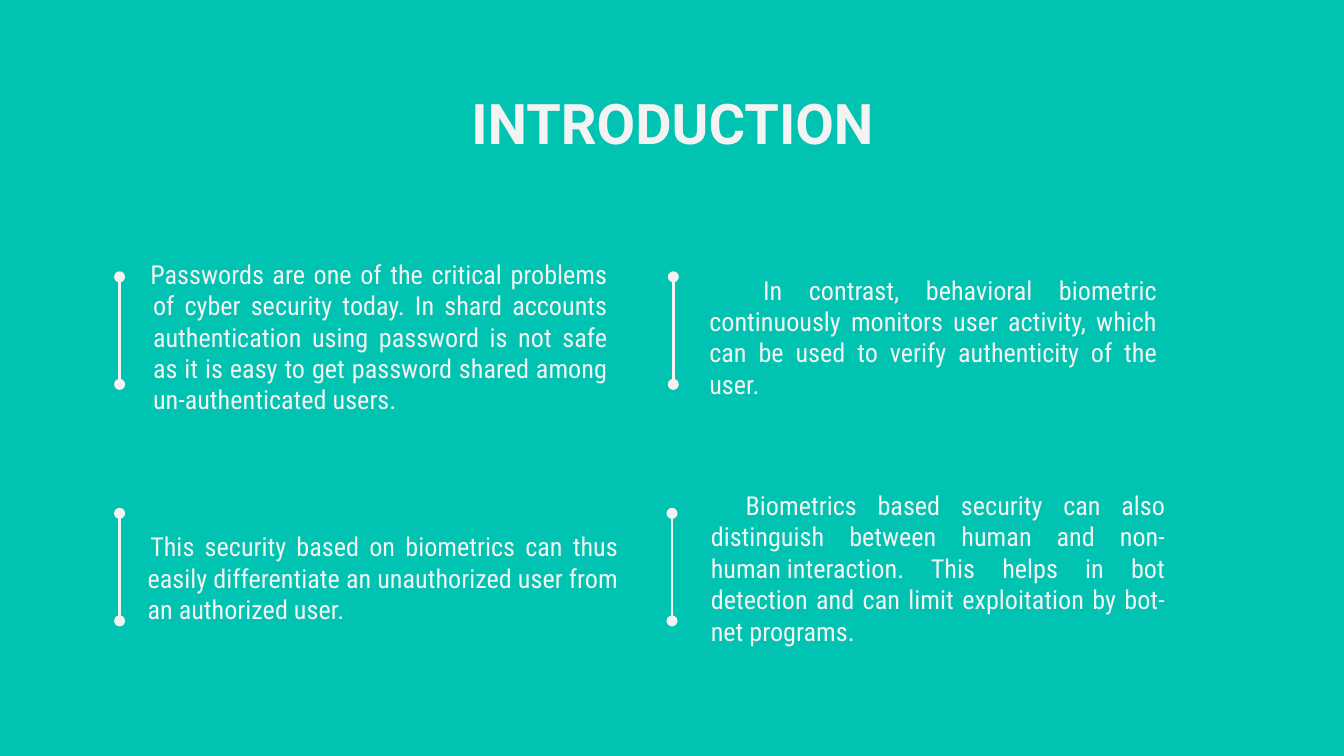
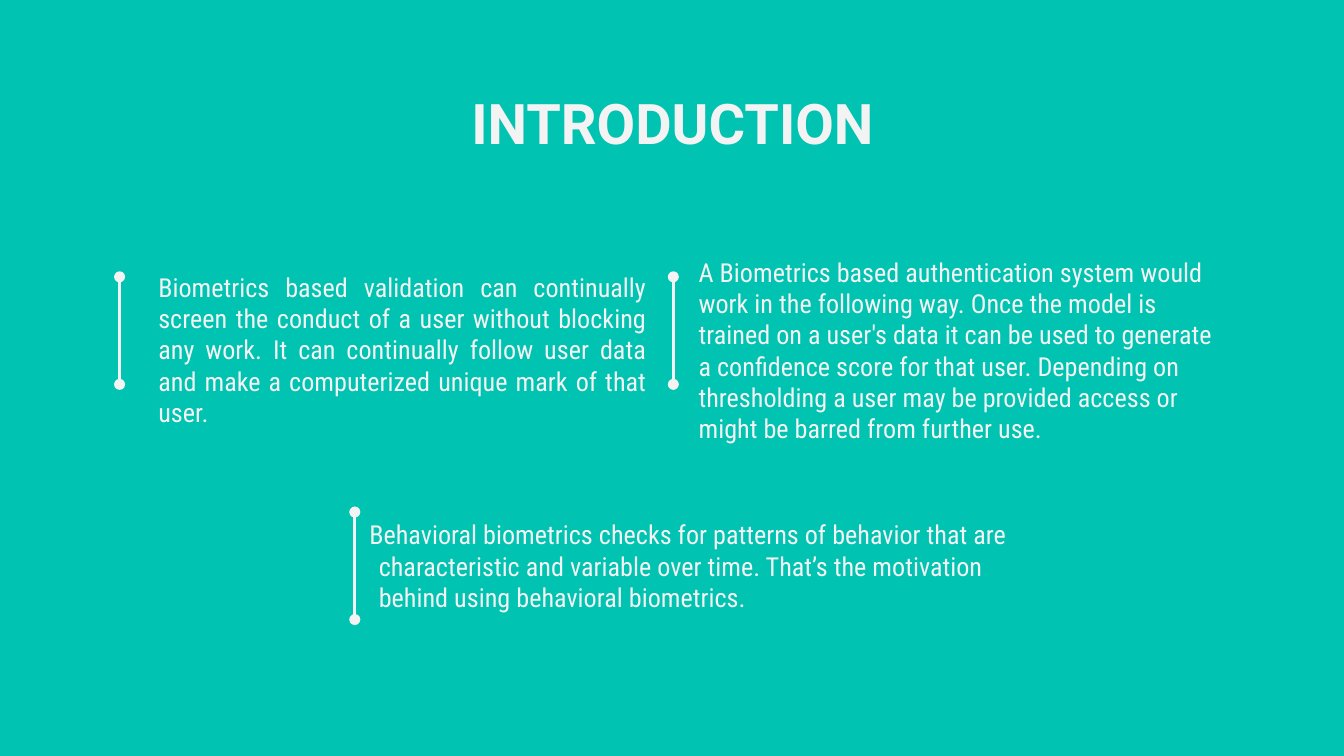
import pptx
import pptx.util
import pptx.dml.color
import pptx.enum.text
import pptx.enum.shapes
import pptx.oxml
import pptx.oxml.ns
import lxml.etree

Inches = pptx.util.Inches
ALIGN = pptx.enum.text.PP_ALIGN
ANCHOR = pptx.enum.text.MSO_ANCHOR
TEAL = pptx.dml.color.RGBColor(0x00, 0xC3, 0xB1)
PALE = pptx.dml.color.RGBColor(0xF3, 0xF3, 0xF3)
HEAD = "Roboto"
BODY = "Roboto Condensed"
PAD = 0.1
RAIL = 0.8
TOP, LOW = 2.06, 3.82
LEFT, RIGHT = 0.89, 5.01


def write(slide, box, text, font=BODY, size=14, bold=False,
          align=ALIGN.JUSTIFY, anchor=ANCHOR.MIDDLE, margin=0, first=0, foot=PAD):
    """Add a text box with one formatted paragraph."""
    frame = slide.shapes.add_textbox(*map(Inches, box)).text_frame
    frame.word_wrap = True
    frame.vertical_anchor = anchor
    frame.margin_left = frame.margin_right = frame.margin_top = Inches(PAD)
    frame.margin_bottom = Inches(foot)
    para = frame.paragraphs[0]
    para.alignment = align
    props = para._p.get_or_add_pPr()
    props.set("marL", str(Inches(margin)))
    props.set("indent", str(Inches(first)))
    run = para.add_run()
    run.text = text
    run.font.name = font
    run.font.size = pptx.util.Pt(size)
    run.font.bold = bold
    run.font.color.rgb = PALE


def rail(slide, x, y):
    """Draw an upright line with a dot at each end."""
    line = slide.shapes.add_connector(
        pptx.enum.shapes.MSO_CONNECTOR.STRAIGHT,
        Inches(x), Inches(y), Inches(x), Inches(y + RAIL))
    line.line.color.rgb = PALE
    line.line.width = pptx.util.Pt(1.5)
    stroke = line.line._get_or_add_ln()
    for end in ("a:headEnd", "a:tailEnd"):
        lxml.etree.SubElement(stroke, pptx.oxml.ns.qn(end), type="oval")
    lxml.etree.SubElement(line._element.spPr, pptx.oxml.ns.qn("a:effectLst"))


def note(slide, mark, box, text, **form):
    """Place a rail and the text box beside it."""
    rail(slide, *mark)
    write(slide, box, text, **form)


def page(deck, title, notes):
    """Build a slide with a centred title and its notes."""
    slide = deck.slides.add_slide(deck.slide_layouts[6])
    slide.background.fill.solid()
    slide.background.fill.fore_color.rgb = TEAL
    write(slide, (0.79, 0.56, 8.43, 0.63), title, font=HEAD, size=30,
          bold=True, align=ALIGN.CENTER, anchor=ANCHOR.TOP)
    for mark, box, text, form in notes:
        note(slide, mark, box, text, **form)


NEEDS = [
    ((LEFT, TOP), (0.54, 1.79, 4.08, 1.43),
     "Passwords are one of the critical problems of cyber security today. "
     "In shard accounts authentication using password is not safe as it is "
     "easy to get password shared among un-authenticated users.",
     dict(margin=0.5, first=-0.02)),
    ((RIGHT, TOP), (4.68, 1.79, 4.03, 1.43),
     "In contrast, behavioral biometric continuously monitors user activity, "
     "which can be used to verify authenticity of the user.",
     dict(margin=0.5, first=0.4)),
    ((LEFT, LOW), (0.5, 3.54, 4.2, 1.52),
     "This security based on biometrics can thus easily differentiate an "
     "unauthorized user from an\u00a0authorized user.",
     dict(margin=0.5, first=0.02)),
    ((5, LOW), (4.69, 3.54, 4.08, 1.6),
     "Biometrics based security can also distinguish between human and "
     "non-human\u00a0interaction. This helps in bot detection and can limit "
     "exploitation by bot-net programs.",
     dict(margin=0.5, first=0.26, foot=0.33)),
]

METHOD = [
    ((LEFT, TOP), (1.08, 1.7, 3.83, 1.8),
     "Biometrics based validation can continually screen the conduct of a "
     "user without blocking any work. It can continually follow user data "
     "and make a computerized unique mark of that user.", {}),
    ((RIGHT, TOP), (5.1, 1.89, 4.03, 1.43),
     "A Biometrics based authentication system would work in the following "
     "way. Once the model is trained on a user's data it can be used to "
     "generate a confidence score for that user. Depending on thresholding "
     "a user may be provided access or might be barred from further use.",
     dict(align=ALIGN.LEFT)),
    ((2.64, 3.81), (2.22, 3.41, 5.4, 1.6),
     "Behavioral biometrics\u00a0checks for patterns of behavior that are "
     "characteristic and variable over time. That\u2019s the motivation "
     "behind using behavioral biometrics.",
     dict(align=ALIGN.LEFT, margin=0.5, first=-0.07)),
]

deck = pptx.Presentation()
deck.slide_width = Inches(10)
deck.slide_height = deck.slide_width * 9 // 16
for notes in (NEEDS, METHOD):
    page(deck, "INTRODUCTION", notes)
deck.save("out.pptx")
